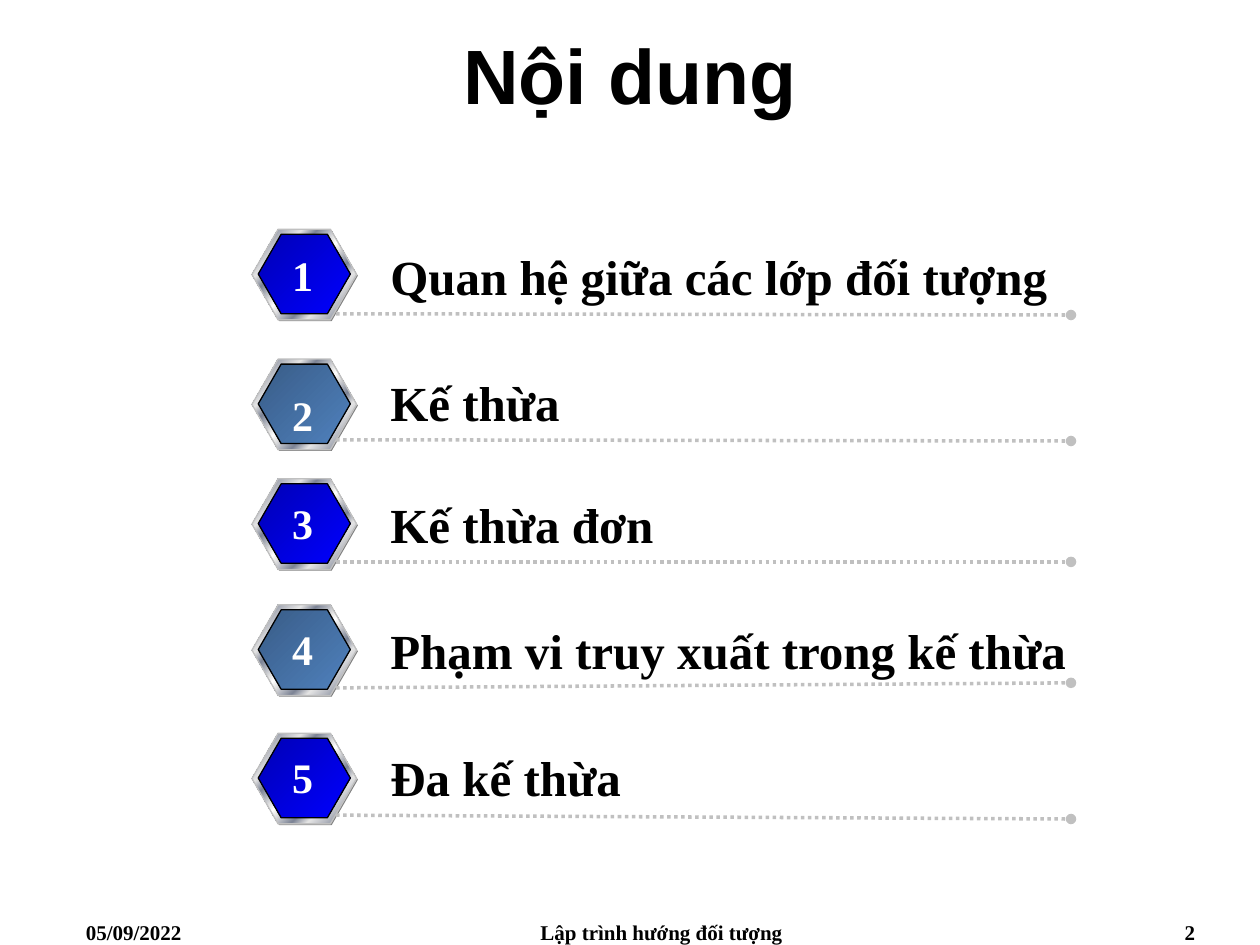
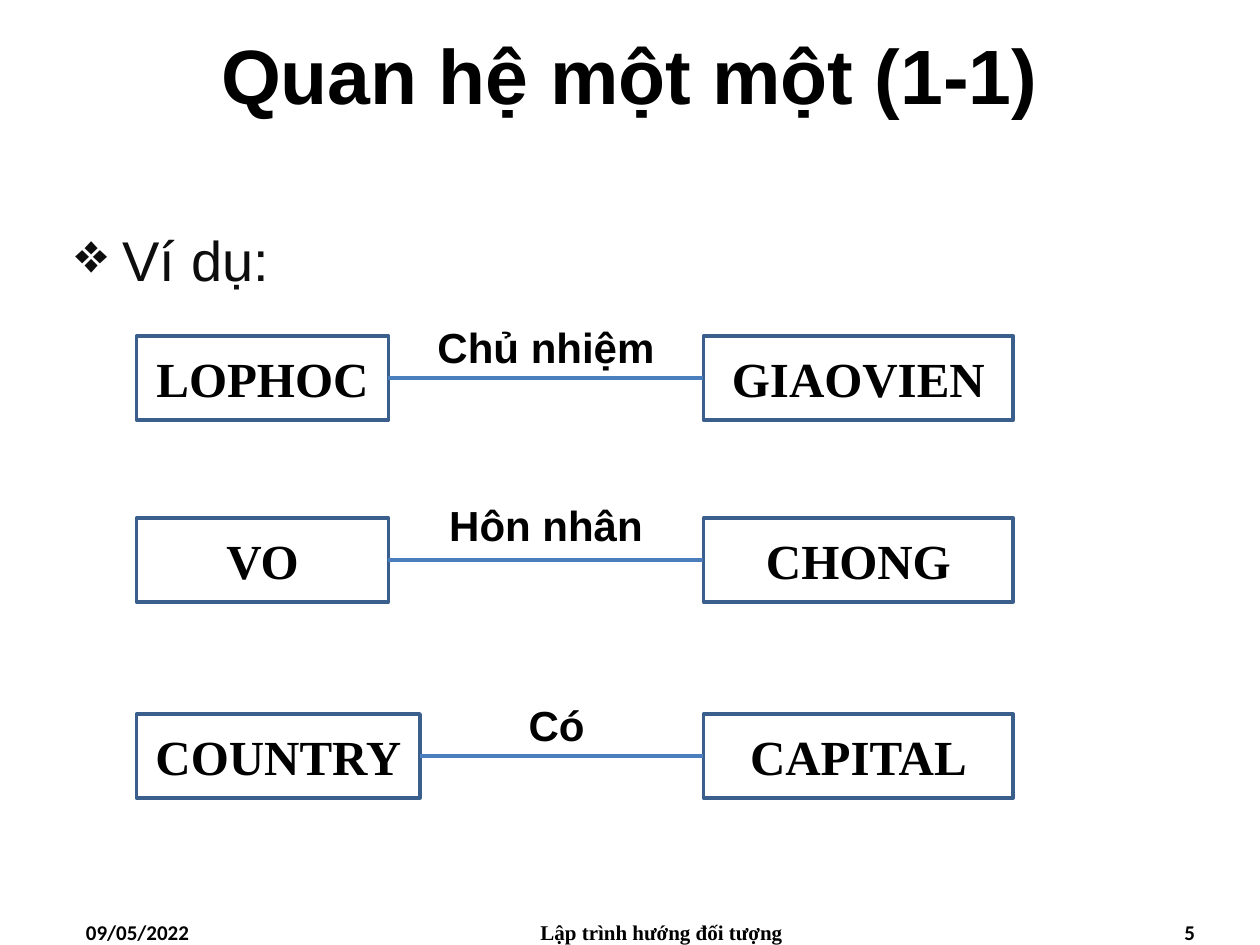
import pptx
import pptx.util
import pptx.dml.color
import pptx.enum.dml
import pptx.enum.shapes
import pptx.enum.text
import pptx.oxml
import pptx.oxml.ns
import lxml.etree
from dataclasses import dataclass

Pt = pptx.util.Pt
ALIGN = pptx.enum.text.PP_ALIGN
ANCHOR = pptx.enum.text.MSO_ANCHOR
FIT = pptx.enum.text.MSO_AUTO_SIZE.SHAPE_TO_FIT_TEXT
SHAPE = pptx.enum.shapes.MSO_SHAPE
STRAIGHT = pptx.enum.shapes.MSO_CONNECTOR.STRAIGHT
qn = pptx.oxml.ns.qn

COURSE = "Lập trình hướng đối tượng"

AGENDA = {
    "title": "Nội dung", "date": "05/09/2022", "number": "2", "footer_font": "Times New Roman",
    "topics": [
        {"name": "Quan hệ giữa các lớp đối tượng", "width": 396, "medal": 131, "digit_drop": 8, "rule": (179.3, 180)},
        {"name": "Kế thừa", "width": 354, "medal": 205.2, "digit_drop": 13.7, "rule": (251.3, 252)},
        {"name": "Kế thừa đơn", "width": 354, "medal": 273.6, "digit_drop": 7.2, "rule": (321.1, 321.1)},
        {"name": "Phạm vi truy xuất trong kế thừa", "width": 420, "medal": 345.6, "digit_drop": 7.2, "rule": (393.1, 390.2)},
        {"name": "Đa kế thừa", "width": 354, "medal": 419, "digit_drop": 7.2, "rule": (465.8, 468)},
    ],
}

ONE_TO_ONE = {
    "title": "Quan hệ một một (1-1)", "date": "09/05/2022", "number": "5", "footer_font": "Calibri",
    "lead": "Ví dụ:",
    "relations": [
        {"ends": ("LOPHOC", "GIAOVIEN"), "verb": "Chủ nhiệm", "top": 192, "width": 144, "verb_box": (240, 180, 144, 36)},
        {"ends": ("VO", "CHONG"), "verb": "Hôn nhân", "top": 295.9, "width": 144, "verb_box": (240, 282.2, 144, 36)},
        {"ends": ("COUNTRY", "CAPITAL"), "verb": "Có", "top": 408, "width": 162, "verb_box": (252, 396, 132, 36)},
    ],
}


@dataclass(frozen=True)
class Theme:
    sans: str = "Arial"
    serif: str = "Times New Roman"
    title: int = 44
    lead: int = 32
    item: int = 28
    label: int = 24
    footer: int = 12
    ink: str = "000000"
    lead_ink: str = "0D0D0D"
    white: str = "FFFFFF"
    shade: str = "808080"
    silver: str = "C0C0C0"
    frame: str = "3A5F8C"
    link: str = "4B7EBC"
    metal: tuple = tuple(zip(
        (0, 7, 26, 34, 46, 50, 54, 66, 74, 93, 100),
        ("E6E6E6", "7D8496", "E6E6E6", "7D8496", "E6E6E6", "FFFFFF",
         "E6E6E6", "7D8496", "E6E6E6", "7D8496", "E6E6E6")))
    faces: tuple = (((0, "0000B6"), (100, "0000FF")), ((0, "395C87"), (100, "4F81BD")))


THEME = Theme()


def rgb(value):
    return pptx.dml.color.RGBColor.from_string(value)


def assign(target, formats):
    for attribute, value in formats.items():
        setattr(target, attribute, value)


def write(holder, words, size, font, color=THEME.ink, bold=True, align=ALIGN.LEFT, **frame):
    text_frame = holder.text_frame
    assign(text_frame, {"word_wrap": True, "vertical_anchor": ANCHOR.TOP, **frame})
    paragraph = text_frame.paragraphs[0]
    paragraph.alignment = align
    run = paragraph.add_run()
    run.text = words
    assign(run.font, {"size": Pt(size), "name": font, "bold": bold})
    run.font.color.rgb = rgb(color)
    return paragraph


def label(shapes, box, words, size, font, **formats):
    return write(shapes.add_textbox(*map(Pt, box)), words, size, font, **formats)


def stroke(line, color, width):
    line.color.rgb = rgb(color)
    line.width = Pt(width)


def connect(shapes, start, end, color):
    connector = shapes.add_connector(STRAIGHT, *map(Pt, (*start, *end)))
    stroke(connector.line, color, 2)
    lxml.etree.SubElement(connector.element.spPr, qn("a:effectLst"))
    return connector


def blend(shape, stops):
    shape.fill.gradient()
    gradient = shape.element.spPr.find(qn("a:gradFill"))
    stop_list = gradient.find(qn("a:gsLst"))
    for old in list(stop_list):
        stop_list.remove(old)
    for position, color in stops:
        stop = lxml.etree.SubElement(stop_list, qn("a:gs"), pos=str(position * 1000))
        lxml.etree.SubElement(stop, qn("a:srgbClr"), val=color)
    gradient.find(qn("a:lin")).set("ang", str(45 * 60000))


def hexagon(shapes, box):
    shape = shapes.add_shape(SHAPE.HEXAGON, *map(Pt, box))
    shape.shadow.inherit = False
    shape.adjustments[0] = 0.289
    shape.adjustments[1] = 1.155
    return shape


def medal(shapes, top, face):
    shade = hexagon(shapes, (144.7, top + 0.7, 59.8, 51.8))
    shade.fill.solid()
    shade.fill.fore_color.rgb = rgb(THEME.shade)
    shade.line.fill.background()
    for box, stops, edge in (((144, top, 59.8, 51.8), THEME.metal, THEME.silver),
                             ((147.6, top + 2.9, 52.6, 45.4), face, THEME.ink)):
        layer = hexagon(shapes, box)
        blend(layer, stops)
        stroke(layer.line, edge, 0.75)


def start_slide(deck, content):
    shapes = deck.slides.add_slide(deck.slide_layouts[6]).shapes
    label(shapes, (0, 0, 720, 84), content["title"], THEME.title, THEME.sans,
          align=ALIGN.CENTER, vertical_anchor=ANCHOR.MIDDLE)
    for left, width, words, font, align in (
            (42, 168, content["date"], content["footer_font"], ALIGN.LEFT),
            (264, 228, COURSE, THEME.serif, ALIGN.CENTER),
            (522, 168, content["number"], content["footer_font"], ALIGN.RIGHT)):
        label(shapes, (left, 522, width, 18), words, THEME.footer, font, align=align)
    return shapes


def build_agenda(deck):
    slide_shapes = start_slide(deck, AGENDA)
    for index, topic in enumerate(AGENDA["topics"]):
        shapes = slide_shapes.add_group_shape().shapes
        rule_start, rule_end = topic["rule"]
        medal(shapes, topic["medal"], THEME.faces[index % 2])
        rule = connect(shapes, (192, rule_start), (612, rule_end), THEME.silver)
        rule.line.dash_style = pptx.enum.dml.MSO_LINE.ROUND_DOT
        lxml.etree.SubElement(rule.element.spPr.find(qn("a:ln")), qn("a:tailEnd"), type="oval")
        label(shapes, (216, rule_start - 42.2, topic["width"], 41), topic["name"],
              THEME.item, THEME.serif, auto_size=FIT)
        label(shapes, (159.6, topic["medal"] + topic["digit_drop"], 26.6, 36), str(index + 1),
              THEME.label, THEME.serif, color=THEME.white, align=ALIGN.CENTER,
              word_wrap=False, auto_size=FIT)


def entity(shapes, box, name):
    rectangle = shapes.add_shape(SHAPE.RECTANGLE, *map(Pt, box))
    rectangle.shadow.inherit = False
    rectangle.fill.background()
    stroke(rectangle.line, THEME.frame, 2)
    write(rectangle, name, THEME.item, THEME.serif, align=ALIGN.CENTER, vertical_anchor=ANCHOR.MIDDLE)
    return rectangle


def build_one_to_one(deck):
    slide_shapes = start_slide(deck, ONE_TO_ONE)
    lead = label(slide_shapes, (36, 114, 660, 388), ONE_TO_ONE["lead"], THEME.lead, THEME.sans,
                 color=THEME.lead_ink, bold=False, align=ALIGN.JUSTIFY)
    assign(lead, {"line_spacing": 1.3, "space_before": Pt(3), "space_after": Pt(3)})
    properties = lead._p.get_or_add_pPr()
    assign_indent = {"marL": Pt(27), "indent": Pt(-27)}
    for attribute, length in assign_indent.items():
        properties.set(attribute, str(int(length)))
    lxml.etree.SubElement(properties, qn("a:buChar"), char="❖")
    for relation in ONE_TO_ONE["relations"]:
        shapes = slide_shapes.add_group_shape().shapes
        left_name, right_name = relation["ends"]
        top, width = relation["top"], relation["width"]
        first = entity(shapes, (78, top, width, 48), left_name)
        second = entity(shapes, (402, top, 177, 48), right_name)
        link = connect(shapes, (78 + width, top + 24), (402, top + 24), THEME.link)
        link.begin_connect(first, 3)
        link.end_connect(second, 1)
        label(shapes, relation["verb_box"], relation["verb"], THEME.label, THEME.sans,
              align=ALIGN.CENTER, auto_size=FIT)


def main():
    deck = pptx.Presentation()
    assign(deck, {"slide_width": Pt(720), "slide_height": Pt(540)})
    build_agenda(deck)
    build_one_to_one(deck)
    deck.save("out.pptx")


if __name__ == "__main__":
    main()
